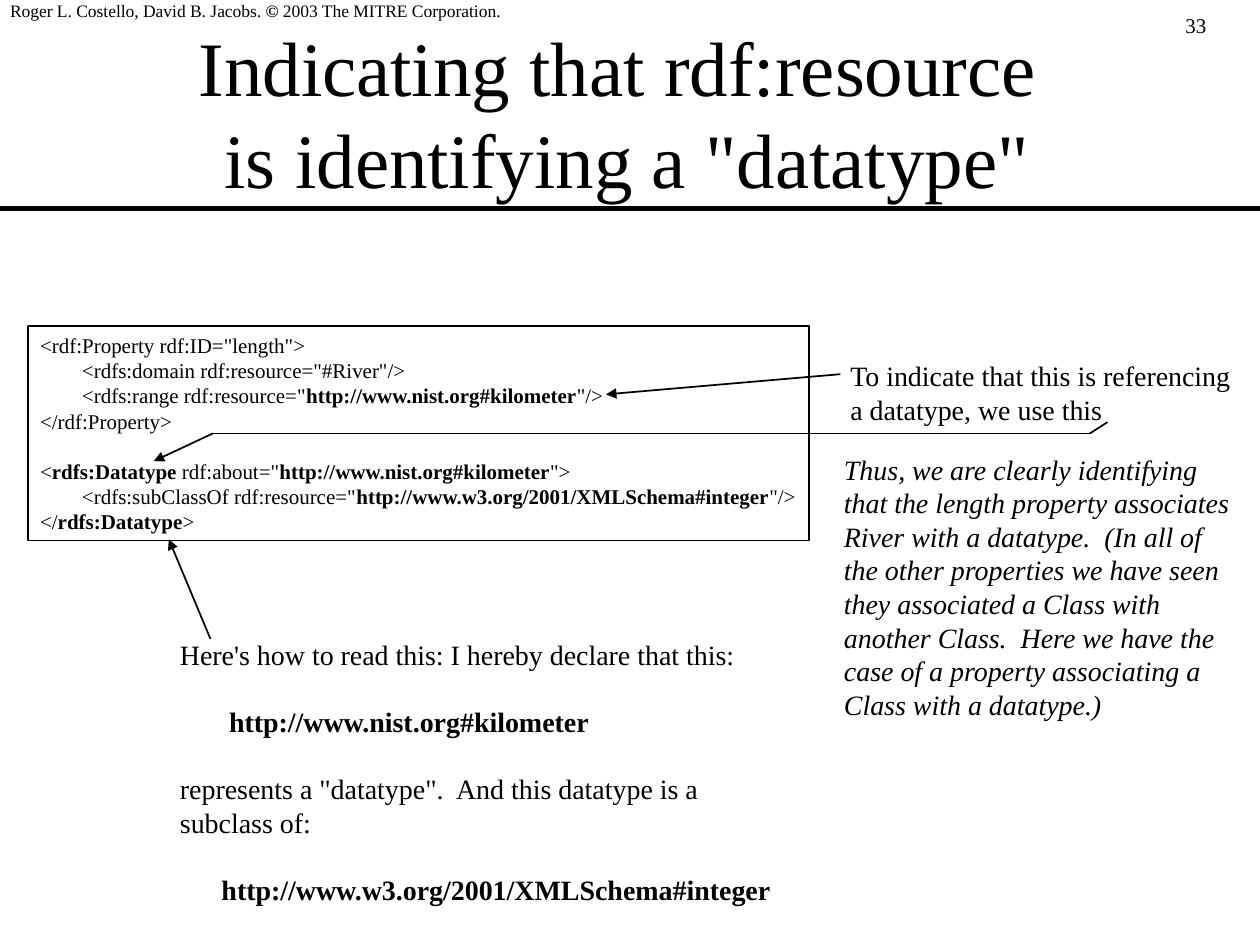
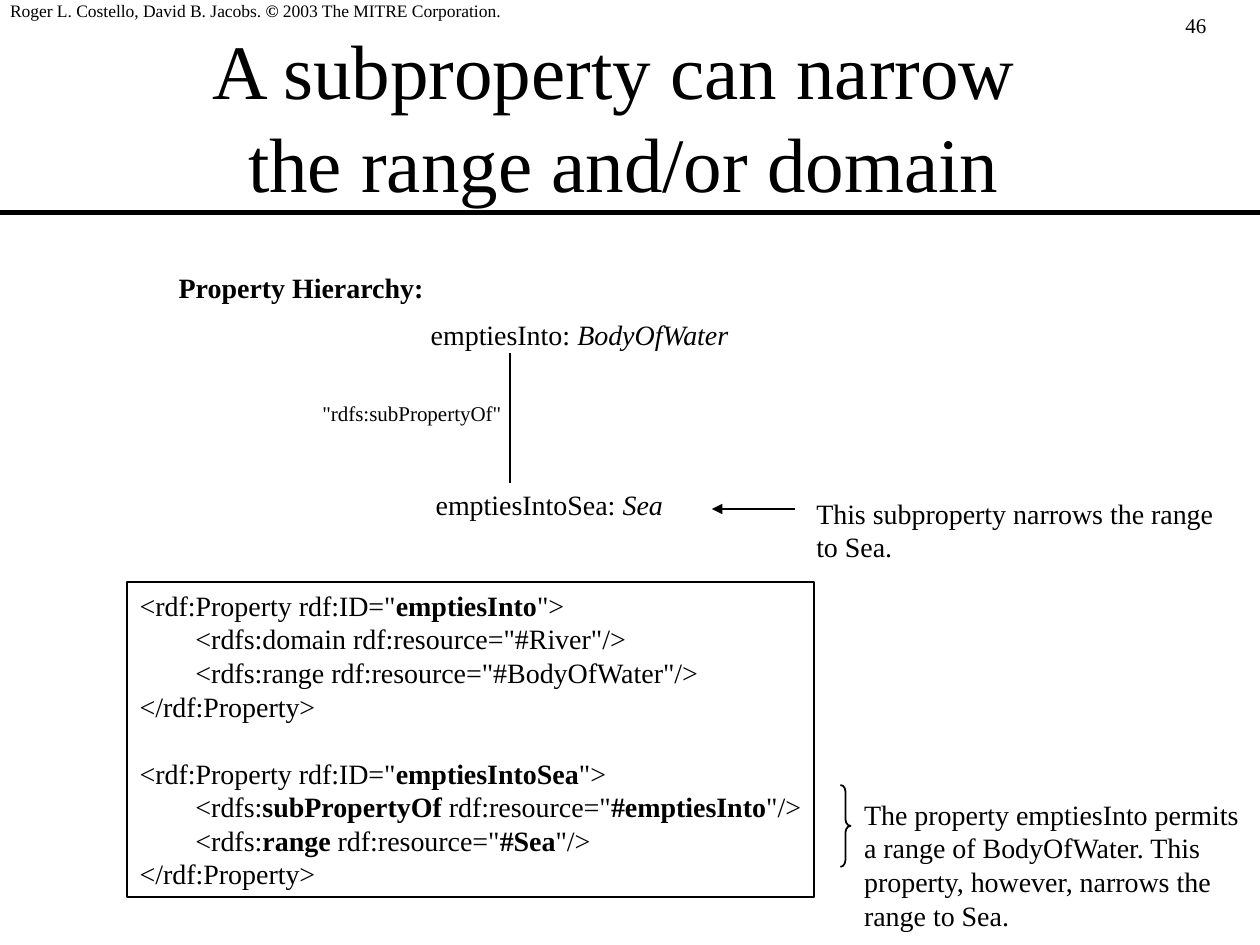
from dataclasses import dataclass

from lxml import etree
from pptx import Presentation, util as u
from pptx.dml.color import RGBColor
from pptx.enum import shapes, text
from pptx.oxml import ns

# The slide is a grid of 100 columns by 75 rows
WIDTH, HEIGHT = u.Inches(10), u.Inches(7.5)
COLS, ROWS = 100, 75


@dataclass(frozen=True)
class Theme:
    font: str = "Times New Roman"
    ink: RGBColor = RGBColor(0, 0, 0)
    title: int = 44
    body: int = 16
    small: int = 12
    footer: int = 10
    leading: float = 1.2
    thin: int = 1
    rule: int = 3


@dataclass(frozen=True)
class Box:
    x: float
    y: float
    w: float
    h: float

    def inner(self, dx, dy, w, h):
        return Box(self.x + dx, self.y + dy, w, h)

    def emu(self):
        return (int(self.x * WIDTH / COLS), int(self.y * HEIGHT / ROWS),
                int(self.w * WIDTH / COLS), int(self.h * HEIGHT / ROWS))


THEME = Theme()


# Shared drawing helpers
def write(tf, lines, size=THEME.body, emphasis="bold", align=text.PP_ALIGN.LEFT,
          indents=None, **font):
    """One paragraph per line; *stars* mark emphasis, "" leaves a line's gap."""
    p, gap = None, False
    for i, line_text in enumerate(lines):
        if not line_text:
            gap = True
            continue
        p = tf.add_paragraph() if p is not None else tf.paragraphs[0]
        p.alignment = align
        p.line_spacing = u.Pt(size * THEME.leading)
        p.space_before = u.Pt(size * THEME.leading if gap else 0)
        gap = False
        if indents and i in indents:
            p._p.get_or_add_pPr().set("marL", str(u.Inches(indents[i])))
        for j, piece in enumerate(line_text.split("*")):
            for k, words in enumerate(piece.split("\n")):
                if k:
                    p.add_line_break()
                if words:
                    r = p.add_run()
                    r.text = words
                    style(r.font, size, **font)
                    if j % 2:
                        setattr(r.font, emphasis, True)


def style(f, size, **font):
    f.name, f.size, f.color.rgb = THEME.font, u.Pt(size), THEME.ink
    for name, value in font.items():
        setattr(f, name, value)


def label(s, box, lines, inset=(0.1, 0.05), **fmt):
    tf = s.shapes.add_textbox(*box.emu()).text_frame
    tf.word_wrap = False
    tf.margin_left = tf.margin_right = u.Inches(inset[0])
    tf.margin_top = tf.margin_bottom = u.Inches(inset[1])
    write(tf, lines, **fmt)


def outline(s, kind, box):
    sp = s.shapes.add_shape(kind, *box.emu())
    sp.shadow.inherit = False
    sp.fill.background()
    sp.line.color.rgb, sp.line.width = THEME.ink, u.Pt(THEME.thin)
    return sp


def line(s, box, start, end, arrow=False, width=THEME.thin):
    ends = [box.inner(*point, 0, 0).emu()[:2] for point in (start, end)]
    c = s.shapes.add_connector(shapes.MSO_CONNECTOR.STRAIGHT, *ends[0], *ends[1])
    c.line.color.rgb, c.line.width = THEME.ink, u.Pt(width)
    if arrow:
        ln = c._element.spPr.find(ns.qn("a:ln"))
        etree.SubElement(ln, ns.qn("a:tailEnd"), type="triangle")
    etree.SubElement(c._element.spPr, ns.qn("a:effectLst"))


# Regions shared by both slides
def new_slide(prs, number, title, box):
    s = prs.slides.add_slide(prs.slide_layouts[5])
    sp = s.shapes.title
    sp.left, sp.top, sp.width, sp.height = box.emu()
    tf = sp.text_frame
    tf.auto_size = text.MSO_AUTO_SIZE.NONE
    tf.vertical_anchor = text.MSO_ANCHOR.MIDDLE
    write(tf, [title], size=THEME.title, align=text.PP_ALIGN.CENTER)
    line(s, Box(0, box.y, COLS, 0), (0, 13.95), (COLS, 13.95), width=THEME.rule)
    label(s, Box(0, 0, 41, 2),
          ["Roger L. Costello, David B. Jacobs. *©* 2003 The MITRE Corporation."],
          inset=(0.08, 0), size=THEME.footer)
    label(s, Box(93.1, 0.5, 6, 3), [str(number)], size=THEME.small)
    return s


def rdf_code(s, box, lines, size):
    tf = outline(s, shapes.MSO_SHAPE.RECTANGLE, box).text_frame
    tf.word_wrap = False
    tf.vertical_anchor = text.MSO_ANCHOR.TOP
    write(tf, lines, size=size)


# Regions of the datatype slide
def datatype_arrows(s, box):
    bend, turn = (14.7, 8.5), (84.3, 8.5)
    line(s, box, (64.5, 3.8), (45.9, 5.4), arrow=True)
    line(s, box, bend, (10, 10.7), arrow=True)
    line(s, box, bend, turn)
    line(s, box, turn, (85.7, 7.6))
    line(s, box, (14.5, 24.8), (11.2, 16.9), arrow=True)


def datatype_notes(s, box):
    label(s, box.inner(0.5, 0, 32.3, 6.4),
          ["To indicate that this is referencing", "a datatype, we use this"])
    label(s, box.inner(0, 7.4, 32.6, 22.4), [
        "Thus, we are clearly identifying",
        "that the length property associates",
        "River with a datatype.  (In all of",
        "the other properties we have seen",
        "they associated a Class with",
        "another Class.  Here we have the",
        "case of a property associating a",
        "Class with a datatype.)"], italic=True)


def how_to_read(s, box):
    label(s, box, [
        "Here's how to read this: I hereby declare that this:",
        "",
        "*http://www.nist.org#kilometer*",
        "",
        'represents a "datatype".  And this datatype is a',
        "subclass of:",
        "",
        "*http://www.w3.org/2001/XMLSchema#integer*"], indents={2: 0.39, 7: 0.33})


def datatype_slide(prs):
    s = new_slide(prs, 33, 'Indicating that rdf:resource \nis identifying a "datatype"',
                  Box(7.3, 2.6, 85, 12.5))
    code = Box(2.2, 25.9, 62, 17)
    rdf_code(s, code, [
        '<rdf:Property rdf:ID="length">',
        '        <rdfs:domain rdf:resource="#River"/>',
        '        <rdfs:range rdf:resource="*http://www.nist.org#kilometer*"/>',
        "</rdf:Property>",
        "",
        '<*rdfs:Datatype* rdf:about="*http://www.nist.org#kilometer*">',
        '        <rdfs:subClassOf rdf:resource="*http://www.w3.org/2001/XMLSchema#integer*"/>',
        "</*rdfs:Datatype*>"], THEME.small)
    datatype_arrows(s, code)
    datatype_notes(s, Box(66, 28, 33, 30))
    how_to_read(s, Box(13.3, 50.1, 49, 22.4))


# Regions of the subproperty slide
def property_hierarchy(s, box):
    label(s, box.inner(0, 0, 21.5, 3.7), ["*Property Hierarchy:*"])
    label(s, box.inner(20, 3.7, 25.8, 3.7), ["emptiesInto: *BodyOfWater*"],
          emphasis="italic")
    line(s, box, (27.3, 7), (27.3, 17.3))
    label(s, box.inner(11.4, 10.3, 16.2, 3), ['"rdfs:subPropertyOf"'],
          size=THEME.small)
    label(s, box.inner(20.4, 17.2, 20, 3.7), ["emptiesIntoSea: *Sea*"],
          emphasis="italic")
    line(s, box, (49.9, 19.4), (43.3, 19.4), arrow=True)
    label(s, box.inner(50.6, 17.9, 33.5, 6.4),
          ["This subproperty narrows the range", "to Sea."])


def range_note(s, box):
    brace = outline(s, shapes.MSO_SHAPE.RIGHT_BRACE, box.inner(0, 0, 0.8, 6.5))
    brace.adjustments[0] = 0.67
    label(s, box.inner(0.9, 0.5, 31.7, 11.7), [
        "The property emptiesInto permits",
        "a range of BodyOfWater. This",
        "property, however, narrows the",
        "range to Sea."])


def subproperty_slide(prs):
    s = new_slide(prs, 46, "A subproperty can narrow \nthe range and/or domain",
                  Box(7, 2.9, 85, 12.5))
    property_hierarchy(s, Box(13.2, 21, 84, 25))
    rdf_code(s, Box(10.1, 46.2, 54.5, 25), [
        '<rdf:Property rdf:ID="*emptiesInto*">',
        '        <rdfs:domain rdf:resource="#River"/>',
        '        <rdfs:range rdf:resource="#BodyOfWater"/>',
        "</rdf:Property>",
        "",
        '<rdf:Property rdf:ID="*emptiesIntoSea*">',
        '        <rdfs:*subPropertyOf* rdf:resource="*#emptiesInto*"/>',
        '        <rdfs:*range* rdf:resource="*#Sea*"/>',
        "</rdf:Property>"], THEME.body)
    range_note(s, Box(66.7, 62.3, 33, 12.2))


def main():
    prs = Presentation()
    prs.slide_width, prs.slide_height = WIDTH, HEIGHT
    datatype_slide(prs)
    subproperty_slide(prs)
    prs.save("out.pptx")


if __name__ == "__main__":
    main()
